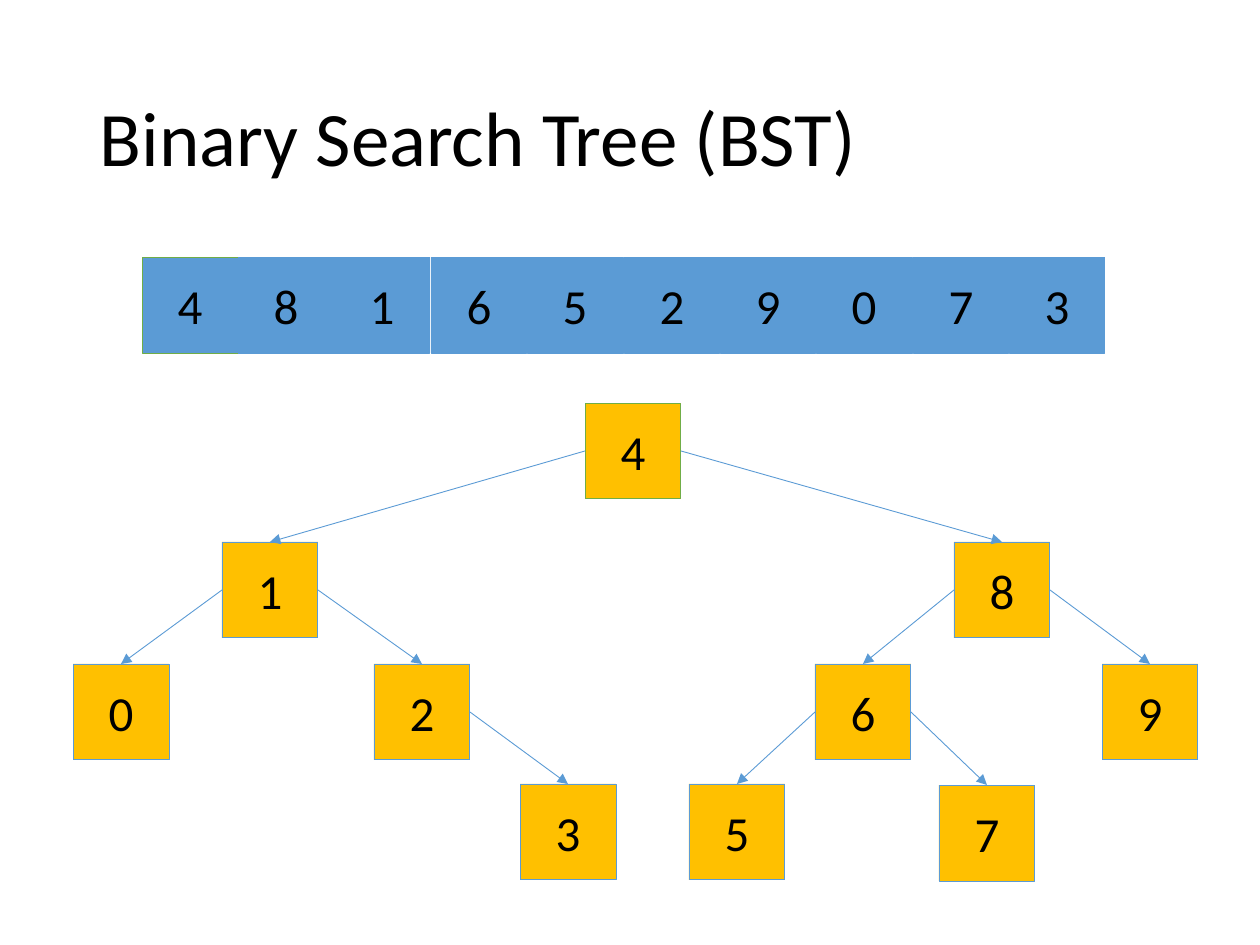
from typing import NamedTuple

from pptx import Presentation
from pptx.dml.color import RGBColor
from pptx.enum.shapes import MSO_CONNECTOR, MSO_SHAPE
from pptx.enum.text import MSO_ANCHOR, MSO_AUTO_SIZE, PP_ALIGN
from pptx.oxml.ns import qn
from pptx.util import Pt
from lxml import etree

RECTANGLE = MSO_SHAPE.RECTANGLE
STRAIGHT = MSO_CONNECTOR.STRAIGHT
MIDDLE = MSO_ANCHOR.MIDDLE
LEFT, CENTER = PP_ALIGN.LEFT, PP_ALIGN.CENTER
NO_AUTOFIT = MSO_AUTO_SIZE.NONE

PX_PER_INCH = 126
EMU_PER_INCH = 914400
FONT = "Calibri"
COLORS = {
    "text": "000000",
    "blue": "5B9BD5",
    "gold": "FFC000",
    "green": "70AD47",
}
TOP_SIDE, LEFT_SIDE, RIGHT_SIDE = 0, 1, 3
BOX_SIZE = 96
ARRAY_LEFT, ARRAY_TOP, ARRAY_WIDTH = 142, 257, 964
ARRAY_VALUES = [4, 8, 1, 6, 5, 2, 9, 0, 7, 3]


class Node(NamedTuple):
    key: int
    left: int
    top: int
    parent: int | None = None


# Nodes in the order in which they enter the tree
NODES = [
    Node(4, 585, 403),
    Node(8, 954, 542, 4),
    Node(1, 222, 542, 4),
    Node(6, 815, 664, 8),
    Node(5, 689, 784, 6),
    Node(2, 374, 664, 1),
    Node(9, 1102, 664, 8),
    Node(0, 73, 664, 1),
    Node(7, 939, 785, 6),
    Node(3, 520, 784, 2),
]


def px(length: int) -> int:
    return round(length * EMU_PER_INCH / PX_PER_INCH)


def color(name: str) -> RGBColor:
    return RGBColor.from_string(COLORS[name])


def set_text(shape, text: str, size: int, align) -> None:
    frame = shape.text_frame
    frame.text = text
    frame.word_wrap = True
    frame.auto_size = NO_AUTOFIT
    frame.vertical_anchor = MIDDLE
    para = frame.paragraphs[0]
    para.alignment = align
    font = para.runs[0].font
    font.name, font.size = FONT, Pt(size)
    font.color.rgb = color("text")


def add_box(page, key: int, left: int, top: int, fill: str, line: str):
    box = page.shapes.add_shape(
        RECTANGLE, px(left), px(top), px(BOX_SIZE), px(BOX_SIZE))
    box.shadow.inherit = False
    box.fill.solid()
    box.fill.fore_color.rgb = color(fill)
    box.line.color.rgb = color(line)
    box.line.width = Pt(0.5)
    set_text(box, str(key), 28, CENTER)
    return box


def add_arrow(page, parent, child, side: int) -> None:
    arrow = page.shapes.add_connector(STRAIGHT, 0, 0, 0, 0)
    arrow.begin_connect(parent, side)
    arrow.end_connect(child, TOP_SIDE)
    arrow.line.color.rgb = color("blue")
    arrow.line.width = Pt(0.5)
    etree.SubElement(arrow.line._get_or_add_ln(), qn("a:tailEnd"), type="triangle")
    etree.SubElement(arrow._element.spPr, qn("a:effectLst"))


def add_title(page, text: str) -> None:
    title = page.shapes.title
    title.left, title.top = px(87), px(50)
    title.width, title.height = px(1086), px(183)
    set_text(title, text, 44, LEFT)
    title.text_frame.paragraphs[0].line_spacing = 0.9


def add_array(page) -> None:
    for index, value in enumerate(ARRAY_VALUES):
        left = ARRAY_LEFT + ARRAY_WIDTH * index // len(ARRAY_VALUES)
        line = "green" if index == 0 else "blue"
        add_box(page, value, left, ARRAY_TOP, "blue", line)


def add_tree(page) -> None:
    boxes = {}
    for node in NODES:
        line = "green" if node.parent is None else "blue"
        box = add_box(page, node.key, node.left, node.top, "gold", line)
        boxes[node.key] = box
        if node.parent is not None:
            # Smaller keys hang on the left, larger ones on the right
            side = LEFT_SIDE if node.key < node.parent else RIGHT_SIDE
            add_arrow(page, boxes[node.parent], box, side)


def main() -> None:
    deck = Presentation()
    deck.slide_width, deck.slide_height = px(1260), px(945)
    page = deck.slides.add_slide(deck.slide_layouts[5])
    add_title(page, "Binary Search Tree (BST)")
    add_array(page)
    add_tree(page)
    deck.save("out.pptx")


if __name__ == "__main__":
    main()
